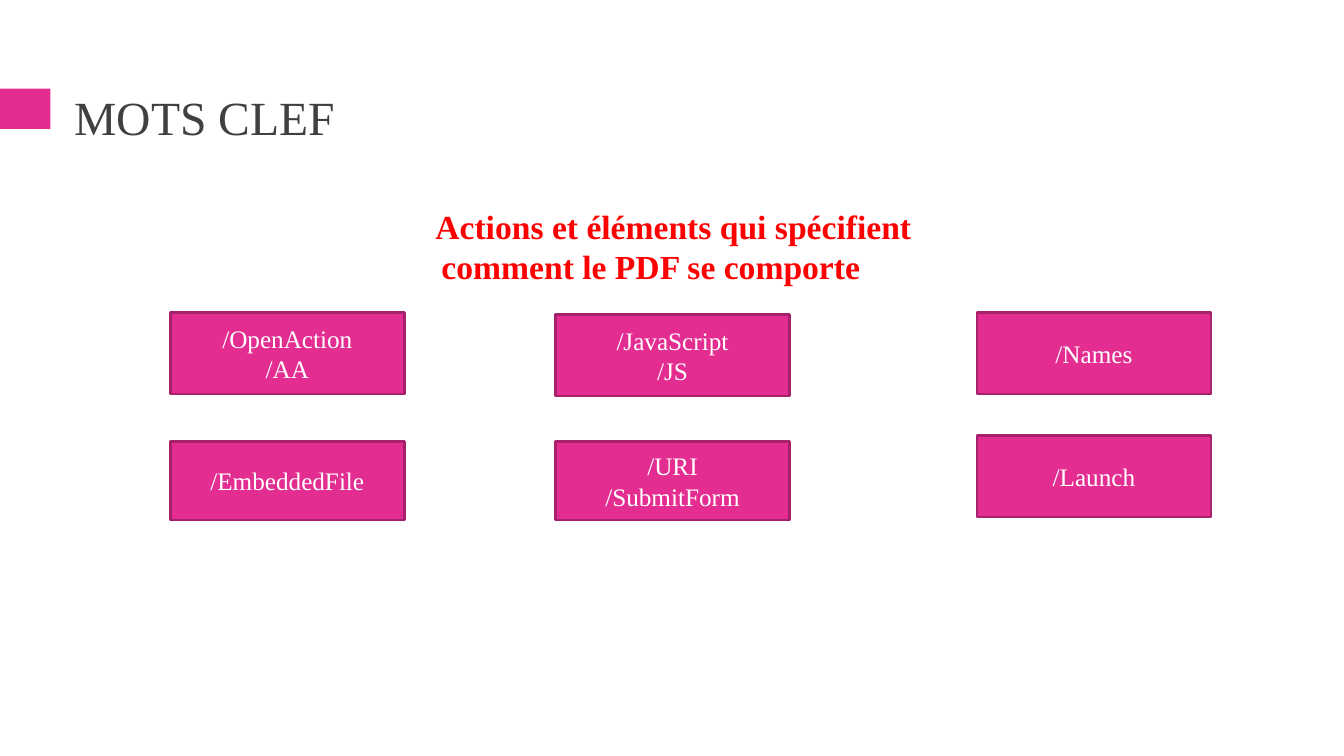
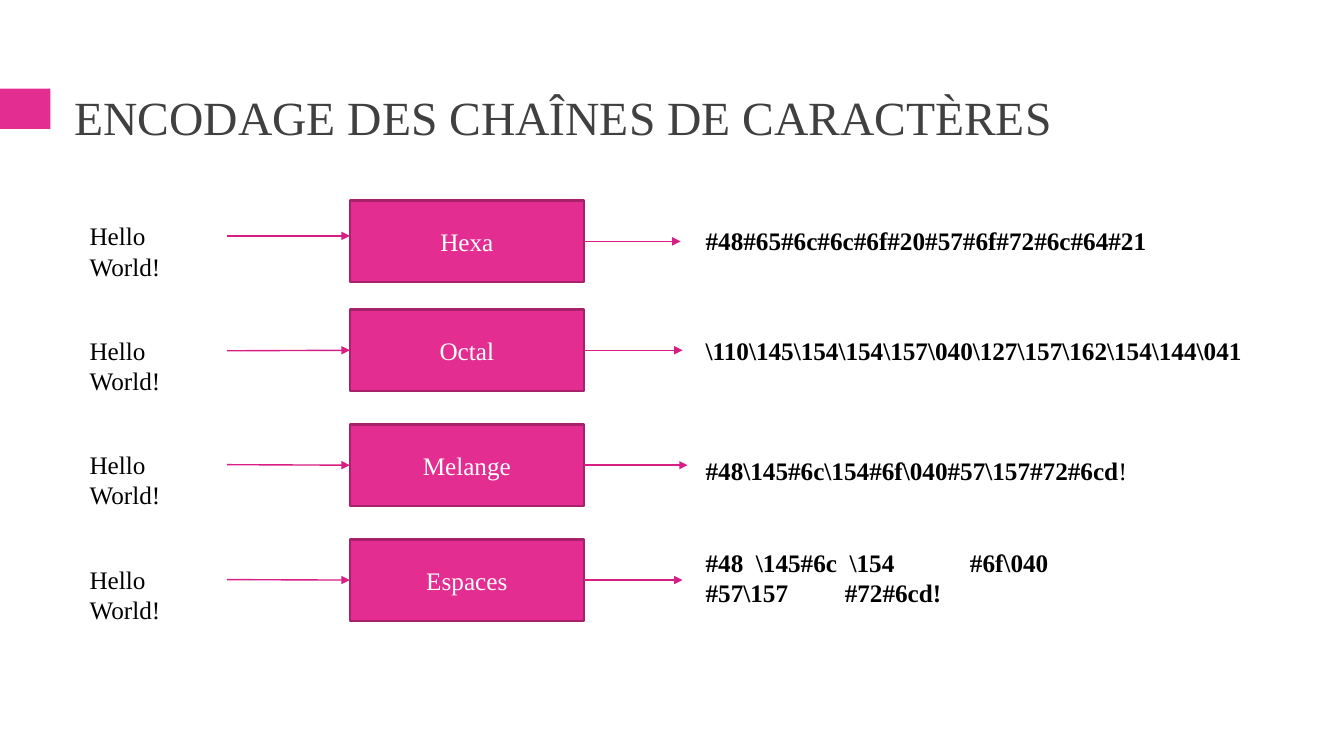
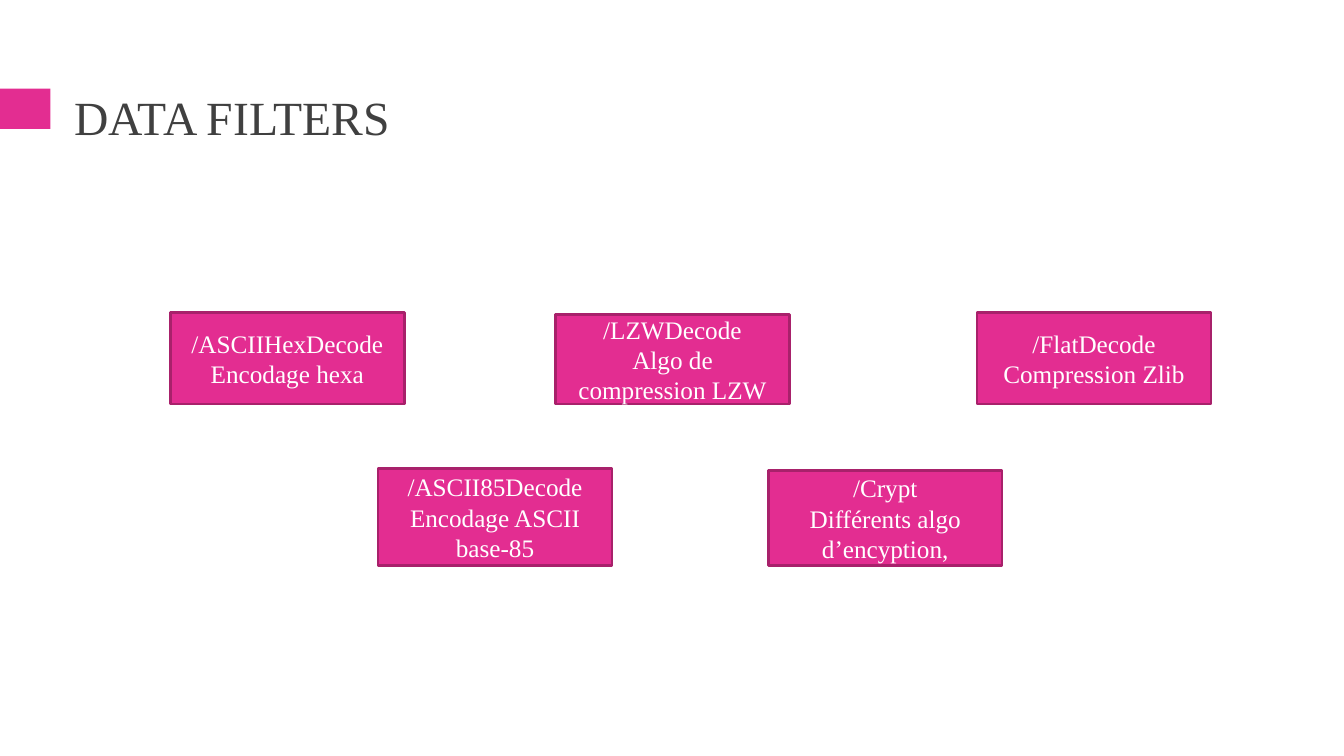
from lxml.etree import SubElement
from pptx import Presentation
from pptx.dml.color import RGBColor
from pptx.enum.shapes import MSO_CONNECTOR, MSO_SHAPE
from pptx.enum.text import MSO_ANCHOR, MSO_AUTO_SIZE, PP_ALIGN
from pptx.oxml.ns import qn
from pptx.util import Inches, Pt

COLORS = {
    "pink": "E32D91",
    "outline": "A8216B",
    "arrow": "D81D84",
    "title": "404040",
    "alert": "FF0000",
    "white": "FFFFFF",
    "black": "000000",
}
FONT = "Times New Roman"
BOX_WIDTH = 2.32
BOX_HEIGHT = 0.81


def write(shape, lines, size=18, color="black", bold=False,
          align=PP_ALIGN.LEFT, anchor=MSO_ANCHOR.TOP):
    """Fill a shape with one paragraph per line, all in one format."""
    frame = shape.text_frame
    frame.word_wrap = True
    frame.auto_size = MSO_AUTO_SIZE.NONE
    frame.vertical_anchor = anchor
    frame.text = "\n".join(lines)
    for paragraph in frame.paragraphs:
        paragraph.alignment = align
        for run in paragraph.runs:
            run.font.name = FONT
            run.font.size = Pt(size)
            run.font.bold = bold
            run.font.color.rgb = RGBColor.from_string(COLORS[color])
    return frame


def add_box(slide, left, top, width, height, lines=(), outline=True):
    """Add a pink rectangle, with or without outline and centred text."""
    box = slide.shapes.add_shape(MSO_SHAPE.RECTANGLE, Inches(left), Inches(top),
                                 Inches(width), Inches(height))
    box.shadow.inherit = False
    box.fill.solid()
    box.fill.fore_color.rgb = RGBColor.from_string(COLORS["pink"])
    if outline:
        box.line.color.rgb = RGBColor.from_string(COLORS["outline"])
        box.line.width = Pt(1.75)
    else:
        box.line.fill.background()
    if lines:
        write(box, lines, color="white", align=PP_ALIGN.CENTER,
              anchor=MSO_ANCHOR.MIDDLE)
    return box


prs = Presentation()
prs.slide_width = Inches(13.33)
prs.slide_height = Inches(7.5)

# Shared band and title
slides = []
for heading in ("MOTS CLEF", "ENCODAGE DES CHAÎNES DE CARACTÈRES", "DATA FILTERS"):
    slide = prs.slides.add_slide(prs.slide_layouts[5])
    add_box(slide, 0, 0.88, 0.5, 0.4, outline=False)
    title = slide.shapes.title
    title.left, title.top = Inches(0.64), Inches(0.77)
    title.width, title.height = Inches(12.06), Inches(0.81)
    write(title, [heading], size=34, color="title").margin_top = Inches(0.1)
    slides.append(slide)
keywords, encoding, filters = slides

# Keywords: introduction
intro = keywords.shapes.add_textbox(Inches(1.79), Inches(1.99),
                                    Inches(9.27), Inches(2.52))
intro_frame = write(intro, ["Actions et éléments qui spécifient",
                            "comment le PDF se comporte"],
                    size=24, color="alert", bold=True)
for paragraph, indent in zip(intro_frame.paragraphs, (2.43, 2.49)):
    paragraph._p.get_or_add_pPr().set("marL", str(Inches(indent)))

# Keywords: boxes
for left, top, height, names in (
    (1.69, 3.1, BOX_HEIGHT, ["/OpenAction", "/AA"]),
    (1.69, 4.38, 0.78, ["/EmbeddedFile"]),
    (5.51, 3.12, BOX_HEIGHT, ["/JavaScript", "/JS"]),
    (5.51, 4.38, 0.78, ["/URI", "/SubmitForm"]),
    (9.69, 3.1, BOX_HEIGHT, ["/Names"]),
    (9.69, 4.32, BOX_HEIGHT, ["/Launch"]),
):
    add_box(keywords, left, top, BOX_WIDTH, height, names)

# Encoding: input, method and result on each row
ENCODINGS = (
    ("Hexa", 1.99, 2.14, 6.75, (2.19, 4.96, 0.4),
     ["#48#65#6c#6c#6f#20#57#6f#72#6c#64#21"]),
    ("Octal", 3.07, 3.28, 6.77, (3.28, 6.01, 0.4),
     [r"\110\145\154\154\157\040\127\157\162\154\144\041"]),
    ("Melange", 4.21, 4.41, 6.82, (4.47, 4.69, 0.71),
     [r"#48\145#6c\154#6f\040#57\157#72#6cd"]),
    ("Espaces", 5.35, 5.55, 6.77, (5.38, 3.83, 1.31),
     [r"#48  \145#6c  \154            #6f\040", r"#57\157         #72#6cd!"]),
)
for name, top, input_top, arrow_end, result_place, result_lines in ENCODINGS:
    method = add_box(encoding, 3.47, top, BOX_WIDTH, BOX_HEIGHT, [name])
    source = encoding.shapes.add_textbox(Inches(0.79), Inches(input_top),
                                         Inches(1.46), Inches(0.4))
    write(source, ["Hello World!"])

    result_top, result_width, result_height = result_place
    result = encoding.shapes.add_textbox(Inches(6.9), Inches(result_top),
                                         Inches(result_width), Inches(result_height))
    result_frame = write(result, result_lines, bold=True)
    if name == "Melange":
        mark = result_frame.paragraphs[0].add_run()
        mark.text = "!"
        mark.font.name = FONT
        mark.font.size = Pt(18)
        mark.font.color.rgb = RGBColor.from_string(COLORS["black"])

    input_middle = input_top + 0.2
    method_middle = top + BOX_HEIGHT / 2
    for start, start_x, end_x, middle in ((source, 2.25, 3.47, input_middle),
                                          (method, 5.79, arrow_end, method_middle)):
        arrow = encoding.shapes.add_connector(
            MSO_CONNECTOR.STRAIGHT, Inches(start_x), Inches(middle),
            Inches(end_x), Inches(middle))
        arrow.begin_connect(start, 3)
        # The first input arrow meets its box above the middle
        if start is source and name != "Hexa":
            arrow.end_connect(method, 1)
        arrow.line.color.rgb = RGBColor.from_string(COLORS["arrow"])
        arrow.line.width = Pt(1)
        SubElement(arrow.line._get_or_add_ln(), qn("a:tailEnd"), type="triangle")
        SubElement(arrow._element.spPr, qn("a:effectLst"))

# Data filters
for left, top, height, lines in (
    (1.69, 3.1, 0.91, ["/ASCIIHexDecode", "Encodage hexa"]),
    (3.75, 4.65, 0.96, ["/ASCII85Decode", "Encodage ASCII base-85"]),
    (5.51, 3.12, 0.89, ["/LZWDecode", "Algo de compression LZW"]),
    (7.62, 4.67, 0.94, ["/Crypt", "Différents algo d’encyption,"]),
    (9.69, 3.1, 0.91, ["/FlatDecode", "Compression Zlib"]),
):
    add_box(filters, left, top, BOX_WIDTH, height, lines)

prs.save("out.pptx")
